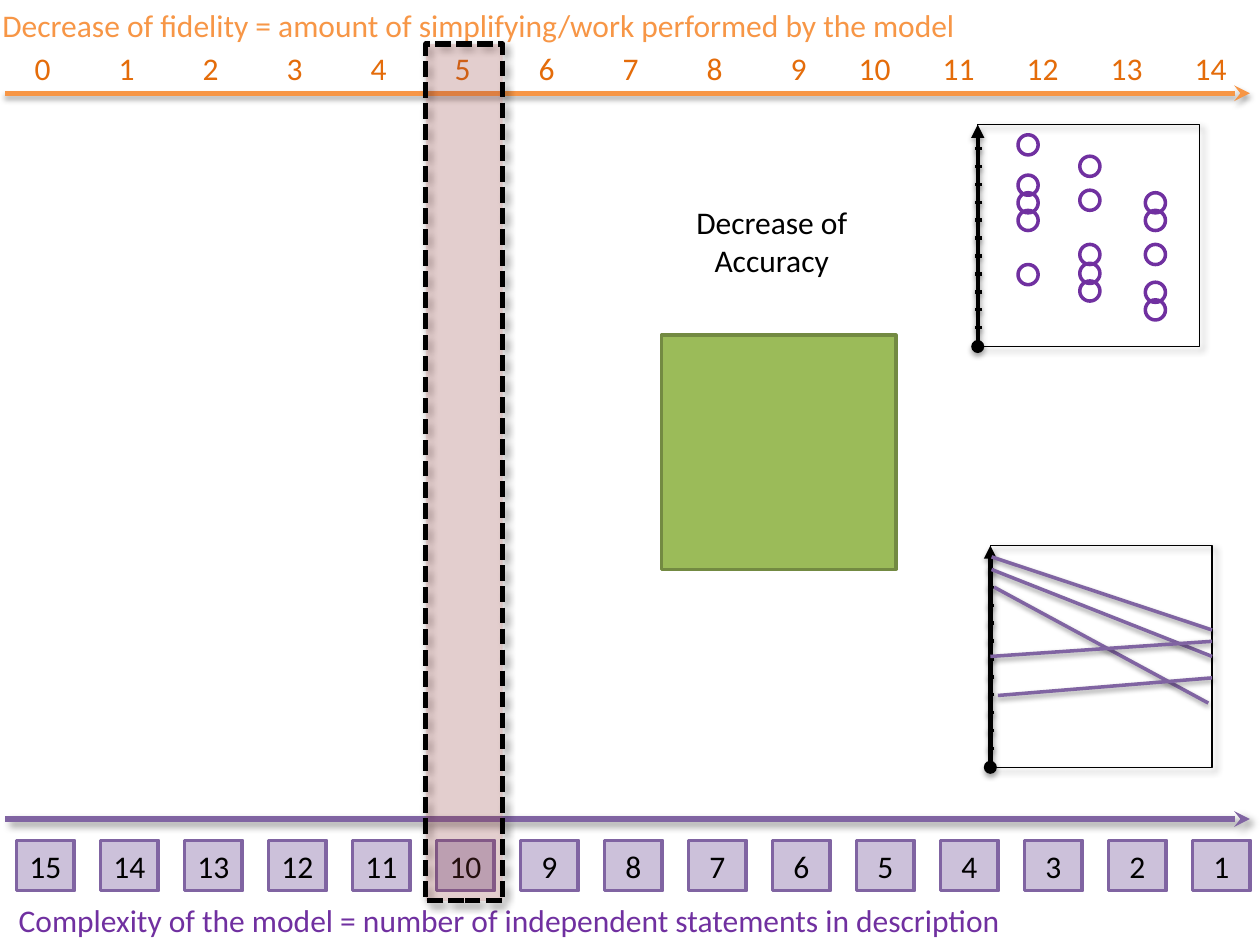
"""Build a slide relating model fidelity, complexity and accuracy."""
from pptx import Presentation
from pptx.dml.color import RGBColor
from pptx.enum.dml import MSO_LINE
from pptx.enum.shapes import MSO_CONNECTOR, MSO_SHAPE
from pptx.enum.text import MSO_ANCHOR, MSO_AUTO_SIZE, PP_ALIGN
from pptx.oxml import parse_xml
from pptx.oxml.ns import nsdecls, qn
from pptx.util import Inches, Pt

RECT, OVAL = MSO_SHAPE.RECTANGLE, MSO_SHAPE.OVAL
STRAIGHT, SYS_DASH = MSO_CONNECTOR.STRAIGHT, MSO_LINE.SQUARE_DOT
LEFT, CENTER, RIGHT = PP_ALIGN.LEFT, PP_ALIGN.CENTER, PP_ALIGN.RIGHT

BLACK = RGBColor(0x00, 0x00, 0x00)
GREEN = RGBColor(0x9B, 0xBB, 0x59)
DARK_GREEN = RGBColor(0x73, 0x8A, 0x42)
ORANGE = RGBColor(0xF7, 0x96, 0x46)
DARK_ORANGE = RGBColor(0xE4, 0x6C, 0x0A)
PURPLE = RGBColor(0x80, 0x64, 0xA2)
DEEP_PURPLE = RGBColor(0x70, 0x30, 0xA0)
LILAC = RGBColor(0xCC, 0xC1, 0xDA)
RED = RGBColor(0xC0, 0x50, 0x4D)

SHADOW = (
    f'<a:outerShdw {nsdecls("a")} blurRad="{{}}" dist="{{}}" dir="{{}}" rotWithShape="0">'
    '<a:srgbClr val="000000"><a:alpha val="{}"/></a:srgbClr></a:outerShdw>'
)
AXIS_SHADOW = SHADOW.format(Pt(3.1), Pt(1.8), 5400000, 35000)
LINE_SHADOW = SHADOW.format(Pt(3.1), Pt(1.6), 5400000, 38000)
BOX_SHADOW = SHADOW.format(Pt(4), Pt(3), 2700000, 40000)

prs = Presentation()
prs.slide_width, prs.slide_height = Inches(10), Inches(7.5)
s = prs.slides.add_slide(prs.slide_layouts[6])


def add_line(x1, y1, x2, y2, color, width, shadow=LINE_SHADOW, ends=()):
    ln = s.shapes.add_connector(STRAIGHT, Inches(x1), Inches(y1), Inches(x2), Inches(y2))
    ln.line.color.rgb = color
    ln.line.width = Pt(width)
    for tag, kind in ends:
        ln.line._ln.append(parse_xml(f'<a:{tag} {nsdecls("a")} type="{kind}"/>'))
    effects = parse_xml(f'<a:effectLst {nsdecls("a")}/>')
    effects.append(parse_xml(shadow))
    ln._element.spPr.append(effects)


def add_box(x, y, w, h, kind=None, fill=None, line=None, width=2, shadow=None,
            text=None, color=BLACK, align=CENTER):
    at = [Inches(v) for v in (x, y, w, h)]
    if kind is None:
        sp = s.shapes.add_textbox(*at)
    else:
        sp = s.shapes.add_shape(kind, *at)
        sp.shadow.inherit = False
        if fill is None:
            sp.fill.background()
        else:
            sp.fill.solid()
            sp.fill.fore_color.rgb = fill
        sp.line.color.rgb = line
        sp.line.width = Pt(width)
        if shadow:
            sp._element.spPr.find(qn("a:effectLst")).append(parse_xml(shadow))
    if text is not None:
        tf = sp.text_frame
        frame = {"word_wrap": True, "auto_size": MSO_AUTO_SIZE.SHAPE_TO_FIT_TEXT,
                 "vertical_anchor": MSO_ANCHOR.TOP}
        for name, value in frame.items():
            setattr(tf, name, value)
        p = tf.paragraphs[0]
        p.alignment = align
        r = p.add_run()
        r.text = text
        for name, value in {"name": "Calibri", "size": Pt(18)}.items():
            setattr(r.font, name, value)
        r.font.color.rgb = color
    return sp


add_box(5.25, 2.66, 1.86, 1.86, RECT, GREEN, DARK_GREEN)

side = 1.76
for x, y in [(7.76, 0.99), (7.86, 4.33)]:
    add_line(x, y + side, x, y, BLACK, 2.5, AXIS_SHADOW,
             [("headEnd", "oval"), ("tailEnd", "triangle")])
    for i in range(11):
        tick = y + 0.19 + 0.142 * i
        add_line(x - 0.02, tick, x + 0.03, tick, BLACK, 2)
    add_box(x, y, side, side, RECT, line=BLACK, width=0.75, shadow=BOX_SHADOW)

scatter = {
    8.08: [1.07, 1.39, 1.53, 1.67, 2.1],
    8.57: [1.24, 1.51, 1.94, 2.09, 2.23],
    9.09: [1.53, 1.67, 1.94, 2.24, 2.38],
}
for x, tops in scatter.items():
    for y in tops:
        add_box(x, y, 0.16, 0.16, OVAL, line=DEEP_PURPLE)

trends = [
    (7.87, 4.42, 9.62, 5), (7.87, 4.52, 9.62, 5.21), (7.89, 4.66, 9.59, 5.58),
    (7.86, 5.21, 9.62, 5.09), (7.92, 5.52, 9.62, 5.38),
]
for ends in trends:
    add_line(*ends, PURPLE, 2)

count = 15
step = 2 / 3
for i in range(count):
    add_box(0.13 + i * step, 6.67, 0.46, 0.4, RECT, LILAC, PURPLE, text=str(count - i))
    add_box(0.04 + i * step, 0.34, 0.46, 0.4, text=str(i), color=DARK_ORANGE, align=RIGHT)

add_box(-0.08, 0, 8.25, 0.4, color=ORANGE, align=LEFT,
        text="Decrease of fidelity = amount of simplifying/work performed by the model")
for y, color, shadow in [(0.74, ORANGE, AXIS_SHADOW), (6.5, PURPLE, BOX_SHADOW)]:
    add_line(0.04, y, 9.92, y, color, 3, shadow, [("tailEnd", "stealth")])
add_box(0.05, 7.1, 8.25, 0.4, color=DEEP_PURPLE, align=LEFT,
        text="Complexity of the model = number of independent statements in description")

sp = add_box(3.38, 0.35, 0.61, 6.8, RECT, RED, BLACK, 3, BOX_SHADOW)
sp.line.dash_style = SYS_DASH
clr = sp._element.spPr.find(qn("a:solidFill")).find(qn("a:srgbClr"))
clr.append(parse_xml(f'<a:alpha {nsdecls("a")} val="19000"/>'))

add_box(5.28, 1.56, 1.69, 0.71, text="Decrease of Accuracy")

prs.save("out.pptx")
